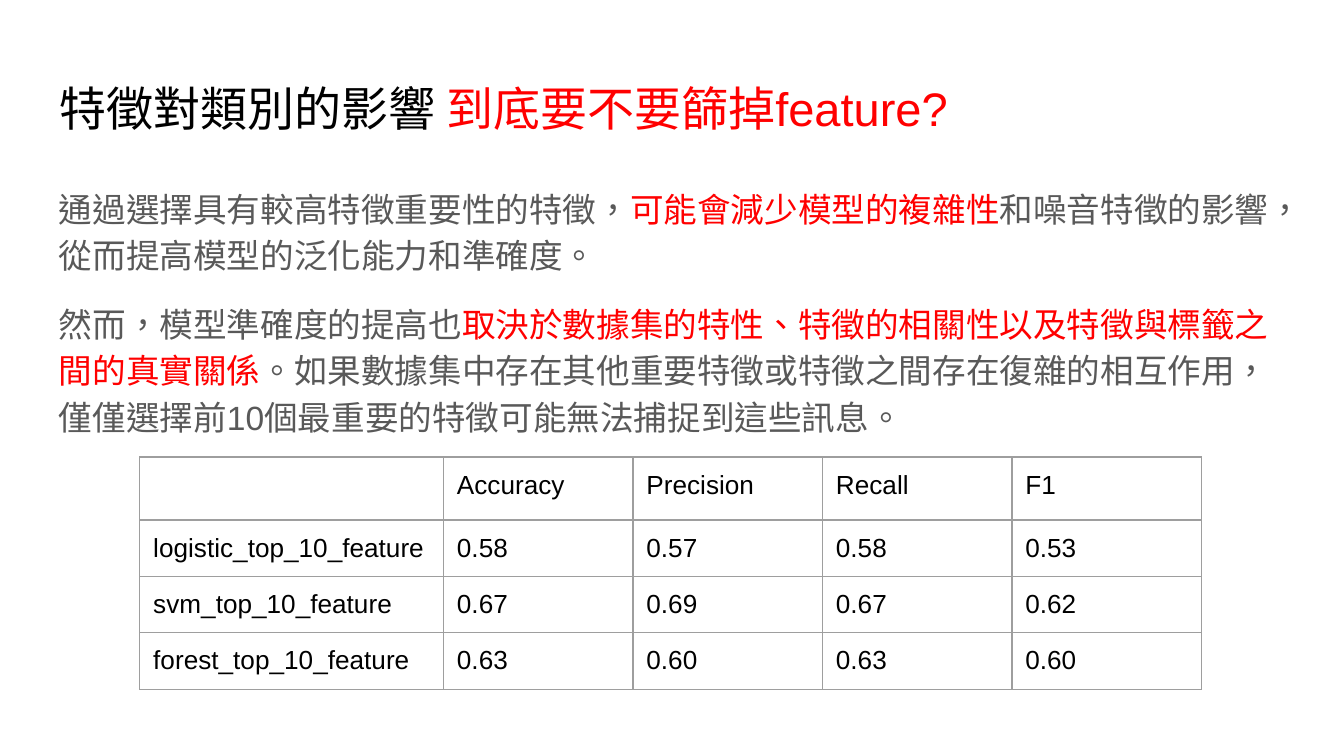
from lxml import etree
from pptx import Presentation
from pptx.dml.color import RGBColor
from pptx.enum import lang, text
from pptx.oxml import ns
from pptx.util import Inches, Pt

BLACK = RGBColor(0x00, 0x00, 0x00)
RED = RGBColor(0xFF, 0x00, 0x00)
GRAY = RGBColor(0x59, 0x59, 0x59)
BORDER = RGBColor(0x9E, 0x9E, 0x9E)
MARGINS = {f"margin_{side}": Inches(0.1) for side in ("left", "right", "top", "bottom")}
FRAME_FORMAT = {
    **MARGINS,
    "word_wrap": True,
    "auto_size": text.MSO_AUTO_SIZE.NONE,
    "vertical_anchor": text.MSO_ANCHOR.TOP,
}
FONT_FORMAT = {"name": "Arial", "language_id": lang.MSO_LANGUAGE_ID.TRADITIONAL_CHINESE}


def apply_format(target, values):
    for name, value in values.items():
        setattr(target, name, value)


def add_runs(paragraph, size, pieces):
    paragraph.alignment = text.PP_ALIGN.LEFT
    for words, color in pieces:
        run = paragraph.add_run()
        run.text = words
        apply_format(run.font, {**FONT_FORMAT, "size": Pt(size)})
        run.font.color.rgb = color


presentation = Presentation()
presentation.slide_width = Inches(10)
presentation.slide_height = Inches(10 * 9 / 16)
slide = presentation.slides.add_slide(presentation.slide_layouts[5])

title = slide.shapes.title
apply_format(title, {"left": Inches(0.34), "top": Inches(0.49),
                     "width": Inches(9.32), "height": Inches(0.63)})
apply_format(title.text_frame, FRAME_FORMAT)
add_runs(title.text_frame.paragraphs[0], 25.2,
         [("特徵對類別的影響 ", BLACK), ("到底要不要篩掉feature?", RED)])

body = slide.shapes.add_textbox(Inches(0.34), Inches(1.26), Inches(9.32), Inches(3.74))
apply_format(body.text_frame, FRAME_FORMAT)
body_paragraphs = [
    [("通過選擇具有較高特徵重要性的特徵，", GRAY),
     ("可能會減少模型的複雜性", RED),
     ("和噪音特徵的影響，從而提高模型的泛化能力和準確度。", GRAY)],
    [("然而，模型準確度的提高也", GRAY),
     ("取決於數據集的特性、特徵的相關性以及特徵與標籤之間的真實關係", RED),
     ("。如果數據集中存在其他重要特徵或特徵之間存在復雜的相互作用，"
      "僅僅選擇前10個最重要的特徵可能無法捕捉到這些訊息。", GRAY)],
]
for index, pieces in enumerate(body_paragraphs):
    paragraph = body.text_frame.add_paragraph() if index else body.text_frame.paragraphs[0]
    apply_format(paragraph, {"line_spacing": 1.15, "space_before": Pt(12 * index)})
    add_runs(paragraph, 18, pieces)

scores = [
    ["", "Accuracy", "Precision", "Recall", "F1"],
    ["logistic_top_10_feature", "0.58", "0.57", "0.58", "0.53"],
    ["svm_top_10_feature", "0.67", "0.69", "0.67", "0.62"],
    ["forest_top_10_feature", "0.63", "0.60", "0.63", "0.60"],
]
column_widths = [2.26] + [1.41] * 4
row_height = 0.42
table = slide.shapes.add_table(
    len(scores), len(column_widths), Inches(1.04), Inches(3.4),
    Inches(sum(column_widths)), Inches(row_height * len(scores))).table
apply_format(table, {"first_row": False, "horz_banding": False})
for column, width in zip(table.columns, column_widths):
    column.width = Inches(width)

for row, values in zip(table.rows, scores):
    row.height = Inches(row_height)
    for cell, value in zip(row.cells, values):
        apply_format(cell, MARGINS)
        paragraph = cell.text_frame.paragraphs[0]
        if value:
            add_runs(paragraph, 14, [(value, BLACK)])
        else:
            end_format = etree.SubElement(paragraph._p, ns.qn("a:endParaRPr"), sz="1730")
            etree.SubElement(end_format, ns.qn("a:latin"), typeface="Arial")
        properties = cell._tc.get_or_add_tcPr()
        for edge in ("lnL", "lnR", "lnT", "lnB"):
            line = etree.SubElement(properties, ns.qn(f"a:{edge}"), w=str(Pt(0.75)))
            fill = etree.SubElement(line, ns.qn("a:solidFill"))
            etree.SubElement(fill, ns.qn("a:srgbClr"), val=str(BORDER))
        cell.fill.background()

presentation.save("out.pptx")
